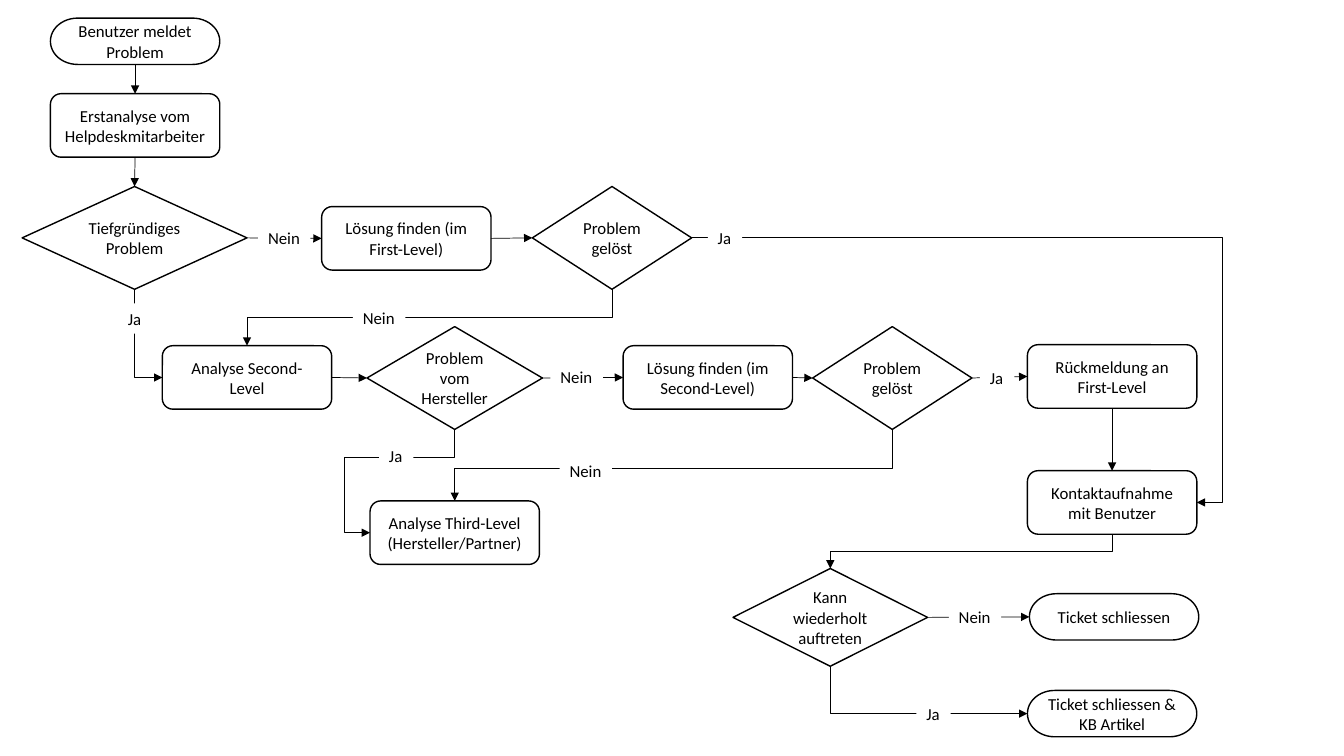
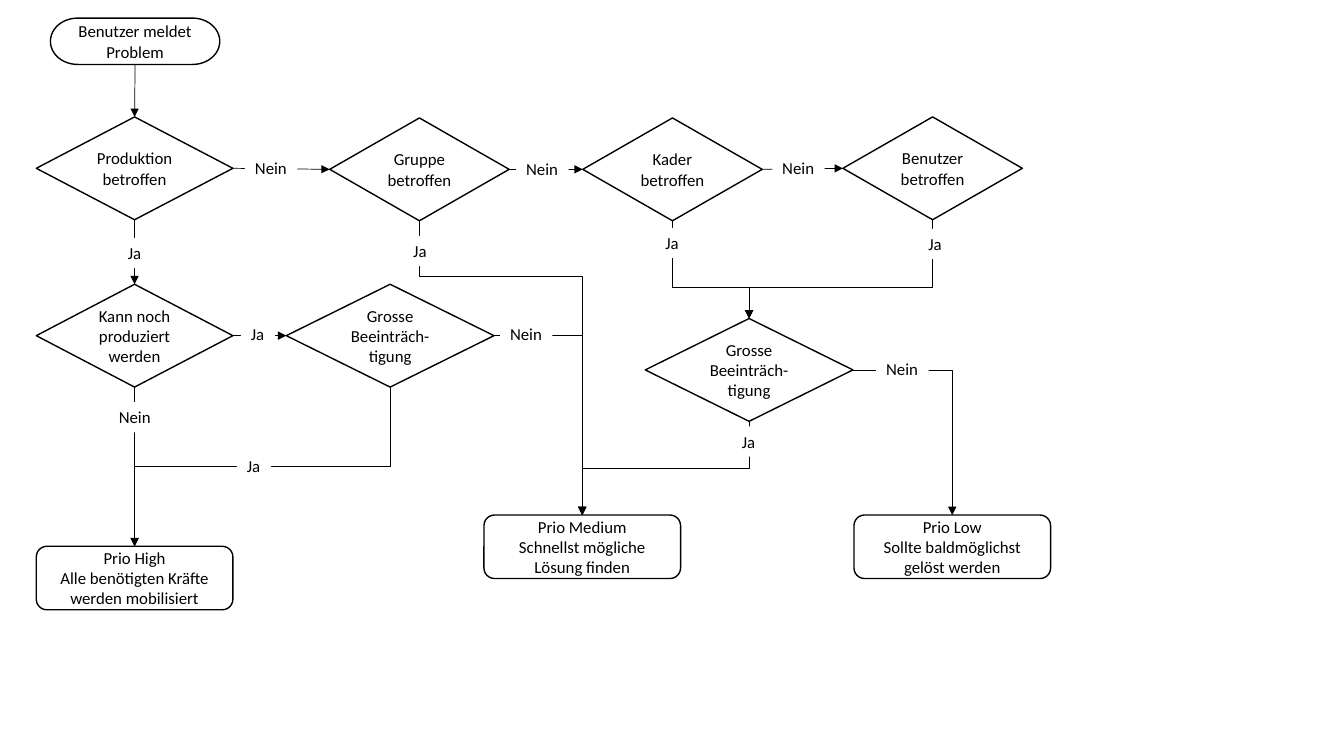
import lxml.etree
import pptx
import pptx.dml.color
import pptx.enum.shapes
import pptx.enum.text
import pptx.oxml.ns
import pptx.util

Inches = pptx.util.Inches
Pt = pptx.util.Pt
qn = pptx.oxml.ns.qn
SHAPES = pptx.enum.shapes.MSO_SHAPE
CONNECTORS = pptx.enum.shapes.MSO_CONNECTOR

# Shared look
INK, PAPER = "000000", "FFFFFF"
FONT, FONT_SIZE = "Calibri", 12
STEP_LINE, ARROW_LINE = 1, 0.5
STEP_WIDTH = 1.68
LABEL_WIDTHS = {"Ja": 0.34, "Nein": 0.52}
LABEL_HEIGHT = 0.3

# Kind of step: preset shape and usual height
TERMINATOR = (SHAPES.FLOWCHART_TERMINATOR, 0.46)
PROCESS = (SHAPES.FLOWCHART_ALTERNATE_PROCESS, 0.63)
DECISION = (SHAPES.FLOWCHART_DECISION, 1.02)

# Connection sites of the step shapes
TOP, LEFT, BOTTOM, RIGHT = range(4)
SITE_POSITIONS = {TOP: (0.5, 0), LEFT: (0, 0.5), BOTTOM: (0.5, 1), RIGHT: (1, 0.5)}


def colour(value):
    return pptx.dml.color.RGBColor.from_string(value)


def site_point(shape, site):
    across, down = SITE_POSITIONS[site]
    return shape.left + shape.width * across, shape.top + shape.height * down


def format_runs(text_frame, alignment):
    for paragraph in text_frame.paragraphs:
        paragraph.alignment = alignment
        for run in paragraph.runs:
            run.font.name = FONT
            run.font.size = Pt(FONT_SIZE)
            run.font.color.rgb = colour(INK)


def bend(connector, start, end, downward, bends):
    """Turn a connector into an elbow; bends are the preset's adjustments."""
    run_x, run_y = end[0] - start[0], end[1] - start[1]
    width, height = abs(run_x), abs(run_y)
    if downward:
        width, height = height, width
    connector.left = int((start[0] + end[0] - width) / 2)
    connector.top = int((start[1] + end[1] - height) / 2)
    connector.width, connector.height = int(width), int(height)

    properties = connector.element.spPr
    transform = properties.get_or_add_xfrm()
    mirrored = downward and run_x > 0
    transform.rot = (270 if mirrored else 90) if downward else 0
    transform.flipH = mirrored
    transform.flipV = not downward and run_y < 0

    geometry = properties.find(qn("a:prstGeom"))
    geometry.set("prst", f"bentConnector{len(bends) + 2}")
    adjustments = geometry.find(qn("a:avLst"))
    if adjustments is None:
        adjustments = lxml.etree.SubElement(geometry, qn("a:avLst"))
    for number, share in enumerate(bends, 1):
        guide = lxml.etree.SubElement(adjustments, qn("a:gd"))
        guide.set("name", f"adj{number}")
        guide.set("fmla", f"val {round(share * 100000)}")


class Flowchart:
    """Steps, arrows and answers in a box with the given corner."""

    def __init__(self, slide, left, top):
        self.shapes = slide.shapes
        self.left, self.top = left, top

    def step(self, kind, text, left, top, width=STEP_WIDTH, height=None):
        preset, usual_height = kind
        shape = self.shapes.add_shape(
            preset, Inches(self.left + left), Inches(self.top + top),
            Inches(width), Inches(height or usual_height))
        shape.shadow.inherit = False
        shape.fill.background()
        shape.line.color.rgb = colour(INK)
        shape.line.width = Pt(STEP_LINE)
        text_frame = shape.text_frame
        text_frame.text = text
        text_frame.word_wrap = True
        text_frame.vertical_anchor = pptx.enum.text.MSO_ANCHOR.MIDDLE
        format_runs(text_frame, pptx.enum.text.PP_ALIGN.CENTER)
        return shape

    def arrow(self, source, source_site, target, target_site, bends=None):
        """Straight without bends; an empty tuple gives a single corner."""
        kind = CONNECTORS.STRAIGHT if bends is None else CONNECTORS.ELBOW
        start = site_point(source, source_site)
        end = site_point(target, target_site)
        connector = self.shapes.add_connector(kind, *map(int, start + end))
        connector.begin_connect(source, source_site)
        connector.end_connect(target, target_site)
        if bends is not None:
            bend(connector, start, end, source_site == BOTTOM, bends)
        connector.line.color.rgb = colour(INK)
        connector.line.width = Pt(ARROW_LINE)
        properties = connector.element.spPr
        head = lxml.etree.SubElement(properties.find(qn("a:ln")), qn("a:tailEnd"))
        head.set("type", "triangle")
        lxml.etree.SubElement(properties, qn("a:effectLst"))

    def answers(self, text, *corners):
        for left, top in corners:
            label = self.shapes.add_textbox(
                Inches(self.left + left), Inches(self.top + top),
                Inches(LABEL_WIDTHS[text]), Inches(LABEL_HEIGHT))
            label.fill.solid()
            label.fill.fore_color.rgb = colour(PAPER)
            text_frame = label.text_frame
            text_frame.text = text
            text_frame.word_wrap = False
            text_frame.auto_size = pptx.enum.text.MSO_AUTO_SIZE.SHAPE_TO_FIT_TEXT
            format_runs(text_frame, pptx.enum.text.PP_ALIGN.LEFT)


def support_levels(slide, left, top):
    chart = Flowchart(slide, left, top)
    step, arrow = chart.step, chart.arrow

    # First level
    report = step(TERMINATOR, "Benutzer meldet Problem", 0.5, 0.18)
    analysis = step(PROCESS, "Erstanalyse vom Helpdeskmitarbeiter", 0.5, 0.93)
    deep = step(DECISION, "Tiefgründiges Problem", 0.22, 1.85, 2.23)
    first_fix = step(PROCESS, "Lösung finden (im First-Level)", 3.19, 2.05)
    first_solved = step(DECISION, "Problem gelöst", 5.28, 1.85, 1.58)

    # Second and third level
    second = step(PROCESS, "Analyse Second-Level", 1.61, 3.43)
    vendor = step(DECISION, "Problem vom Hersteller", 3.64, 3.24, 1.74)
    second_fix = step(PROCESS, "Lösung finden (im Second-Level)", 6.18, 3.43)
    second_solved = step(DECISION, "Problem gelöst", 8.06, 3.24, 1.58)
    third = step(PROCESS, "Analyse Third-Level (Hersteller/Partner)", 3.67, 4.97)

    # Closing the ticket
    feedback = step(PROCESS, "Rückmeldung an First-Level", 10.19, 3.42)
    contact = step(PROCESS, "Kontaktaufnahme mit Benutzer", 10.19, 4.67)
    recurring = step(DECISION, "Kann wiederholt auftreten", 7.27, 5.64, 1.93, 0.97)
    close = step(TERMINATOR, "Ticket schliessen", 10.21, 5.89)
    article = step(TERMINATOR, "Ticket schliessen & KB Artikel", 10.19, 6.85)

    # Straight arrows
    for source, target in ((report, analysis), (analysis, deep), (feedback, contact)):
        arrow(source, BOTTOM, target, TOP)
    for source, target in (
            (deep, first_fix), (first_fix, first_solved), (second, vendor),
            (vendor, second_fix), (second_fix, second_solved),
            (second_solved, feedback), (recurring, close)):
        arrow(source, RIGHT, target, LEFT)

    # Bent arrows
    arrow(deep, BOTTOM, second, LEFT, ())
    arrow(first_solved, BOTTOM, second, TOP, (0.5,))
    arrow(first_solved, RIGHT, contact, RIGHT, (1.05,))
    arrow(vendor, BOTTOM, third, LEFT, (0.27, 1.3))
    arrow(second_solved, BOTTOM, third, TOP, (0.55,))
    arrow(contact, BOTTOM, recurring, TOP, (0.5,))
    arrow(recurring, BOTTOM, article, LEFT, ())

    chart.answers("Ja", (1.17, 3.01), (7.02, 2.21), (9.72, 3.6), (3.76, 4.37), (9.09, 6.93))
    chart.answers("Nein", (2.56, 2.21), (3.5, 3), (5.46, 3.59), (5.55, 4.52), (9.41, 5.97))


def priorities(slide, left, top):
    chart = Flowchart(slide, left, top)
    step, arrow = chart.step, chart.arrow
    wide = 1.95

    # Who is affected
    report = step(TERMINATOR, "Benutzer meldet Problem", 0.5, 0.18)
    production = step(DECISION, "Produktion betroffen", 0.36, 1.16, wide)
    group = step(DECISION, "Gruppe betroffen", 3.27, 1.17, 1.78)
    managers = step(DECISION, "Kader betroffen", 5.78, 1.17, 1.78)
    user = step(DECISION, "Benutzer betroffen", 8.36, 1.16, 1.78)

    # How severe it is
    running = step(DECISION, "Kann noch produziert werden", 0.36, 2.82, wide)
    impact, impact_users = (
        step(DECISION, "Grosse Beeinträch-tigung", x, y, 2.06)
        for x, y in ((2.84, 2.82), (6.4, 3.16)))

    # Resulting priority
    high = step(PROCESS, "Prio High\vAlle benötigten Kräfte werden mobilisiert", 0.36, 5.42, wide)
    medium = step(PROCESS, "Prio Medium\vSchnellst mögliche Lösung finden", 4.8, 5.11, wide)
    low = step(PROCESS, "Prio Low\vSollte baldmöglichst gelöst werden", 8.47, 5.11, wide)

    # Straight arrows
    for source, target in ((report, production), (production, running), (running, high)):
        arrow(source, BOTTOM, target, TOP)
    for source, target in (
            (production, group), (group, managers), (managers, user), (running, impact)):
        arrow(source, RIGHT, target, LEFT)

    # Bent arrows
    for source, target, share in (
            (impact, high, 0.5), (group, medium, 0.19), (managers, impact_users, 0.68),
            (user, impact_users, 0.68), (impact_users, medium, 0.5)):
        arrow(source, BOTTOM, target, TOP, (share,))
    for source, target in ((impact, medium), (impact_users, low)):
        arrow(source, RIGHT, target, TOP, ())

    chart.answers("Ja", (1.17, 2.36), (4, 2.34), (6.5, 2.26), (9.11, 2.27),
                  (2.39, 3.16), (7.26, 4.23), (2.35, 4.47))
    chart.answers("Nein", (2.43, 1.52), (5.12, 1.53), (7.66, 1.52),
                  (4.96, 3.16), (8.69, 3.51), (1.08, 3.99))


def main():
    presentation = pptx.Presentation()
    presentation.slide_width = Inches(13.33)
    presentation.slide_height = Inches(7.5)
    blank = presentation.slide_layouts[6]
    for build in (support_levels, priorities):
        build(presentation.slides.add_slide(blank), 0, 0)
    presentation.save("out.pptx")


if __name__ == "__main__":
    main()
